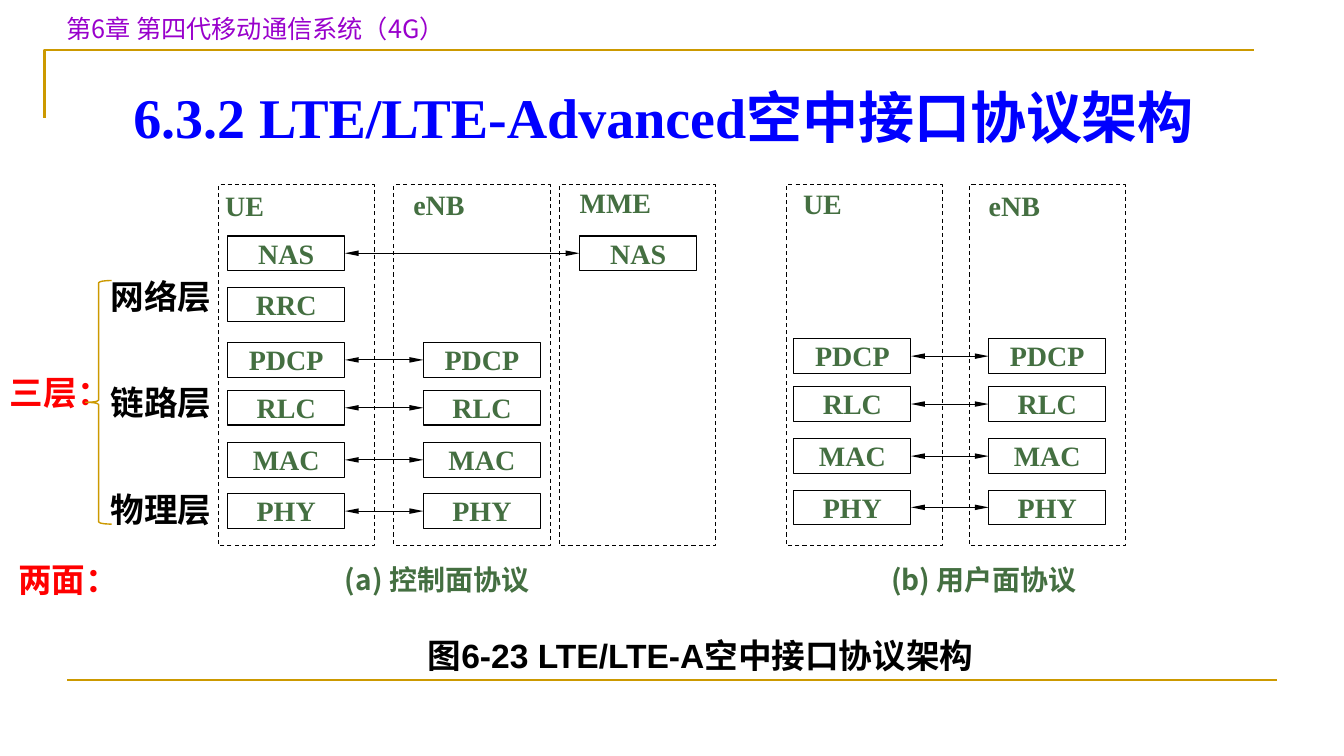
from lxml import etree
from pptx import Presentation
from pptx import util as u
from pptx.dml.color import RGBColor
from pptx.enum import dml, shapes, text
from pptx.oxml.ns import qn

COLUMNS, ROWS = 160, 90
CELL = u.Inches(7.5) / ROWS

BLACK = RGBColor(0x00, 0x00, 0x00)
BLUE = RGBColor(0x00, 0x00, 0xFF)
GOLD = RGBColor(0xCC, 0x99, 0x00)
GREEN = RGBColor(0x44, 0x6F, 0x41)
PURPLE = RGBColor(0x99, 0x00, 0xCC)
RED = RGBColor(0xFF, 0x00, 0x00)

SERIF, SANS = "Times New Roman", "Arial"
CJK, CJK_HEADER = "Noto Sans CJK SC", "Noto Sans CJK JP"
LEFT, CENTER = text.PP_ALIGN.LEFT, text.PP_ALIGN.CENTER
JUSTIFY = text.PP_ALIGN.JUSTIFY
TOP, MIDDLE = text.MSO_ANCHOR.TOP, text.MSO_ANCHOR.MIDDLE

BOX_WIDTH, BOX_HEIGHT = 13.95, 4.1
FRAME_TOP, FRAME_WIDTH, FRAME_HEIGHT = 22, 18.6, 42.9
LAYER_ROWS = {"NAS": 28.1, "RRC": 34.2, "PDCP": 40.8, "RLC": 46.5, "MAC": 52.7, "PHY": 58.8}
RADIO_LAYERS = ["PDCP", "RLC", "MAC", "PHY"]


def grid(*cells):
    return [round(cell * CELL) for cell in cells]


def write(shape, content, size=20, font=SERIF, color=GREEN, bold=True,
          align=CENTER, anchor=TOP, inset=True):
    frame = shape.text_frame
    frame.word_wrap = True
    frame.vertical_anchor = anchor
    if not inset:
        frame.margin_left = frame.margin_right = 0
        frame.margin_top = frame.margin_bottom = 0
    paragraph = frame.paragraphs[0]
    paragraph.alignment = align
    run = paragraph.add_run()
    run.text = content
    run.font.size = u.Pt(size)
    run.font.bold = bold
    run.font.color.rgb = color
    run.font.name = font
    east_asian = font if font.startswith("Noto") else CJK
    etree.SubElement(run._r.get_or_add_rPr(), qn("a:ea"), typeface=east_asian)


def add_text(slide, content, left, top, width, height, **style):
    write(slide.shapes.add_textbox(*grid(left, top, width, height)), content, **style)


def outline(shape, color=BLACK, weight=0.75):
    shape.shadow.inherit = False
    shape.fill.background()
    shape.line.color.rgb = color
    shape.line.width = u.Pt(weight)
    return shape


def add_outline(slide, kind, left, top, width, height, **style):
    return outline(slide.shapes.add_shape(kind, *grid(left, top, width, height)), **style)


def add_line(slide, ends, color=BLACK, weight=0.75):
    line = slide.shapes.add_connector(shapes.MSO_CONNECTOR.STRAIGHT, *grid(*ends))
    line.line.color.rgb = color
    line.line.width = u.Pt(weight)
    etree.SubElement(line._element.spPr, qn("a:effectLst"))
    return line


def add_arrow(slide, left_box, right_box):
    arrow = add_line(slide, (0, 0, 0, 0))
    arrow.begin_connect(left_box, 3)
    arrow.end_connect(right_box, 1)
    for end in ("a:headEnd", "a:tailEnd"):
        etree.SubElement(arrow.line._get_or_add_ln(), qn(end),
                         type="triangle", w="sm", len="lg")


def add_stack(slide, name, frame_left, label_at, box_left, layers, shift=0):
    frame = add_outline(slide, shapes.MSO_SHAPE.RECTANGLE,
                        frame_left, FRAME_TOP, FRAME_WIDTH, FRAME_HEIGHT)
    frame.line.dash_style = dml.MSO_LINE.DASH
    add_text(slide, name, *label_at, BOX_WIDTH, BOX_HEIGHT, align=JUSTIFY, inset=False)
    boxes = {}
    for layer in layers:
        boxes[layer] = add_outline(slide, shapes.MSO_SHAPE.RECTANGLE, box_left,
                                   LAYER_ROWS[layer] + shift, BOX_WIDTH, BOX_HEIGHT)
        write(boxes[layer], layer, inset=False)
    return boxes


def link_layers(slide, left_stack, right_stack):
    for layer in left_stack:
        if layer in right_stack:
            add_arrow(slide, left_stack[layer], right_stack[layer])


def add_page_lines(slide):
    (left, top), (right, bottom) = grid(5.3, 6), grid(149.3, 14)
    builder = slide.shapes.build_freeform(left, bottom)
    builder.add_line_segments([(left, top), (right, top)], close=False)
    outline(builder.convert_to_shape(), color=GOLD, weight=1.5)
    add_line(slide, (8, 81, 152, 81), color=GOLD, weight=1.5)


def main():
    presentation = Presentation()
    presentation.slide_width, presentation.slide_height = grid(COLUMNS, ROWS)
    slide = presentation.slides.add_slide(presentation.slide_layouts[6])

    add_page_lines(slide)
    add_text(slide, "第6章 第四代移动通信系统（4G）", 6.7, 1, 69.4, 4.8,
             size=18, font=CJK_HEADER, color=PURPLE, bold=False, align=LEFT)
    add_text(slide, "6.3.2 LTE/LTE-Advanced空中接口协议架构", 7, 8.6, 144, 10.5,
             size=40, color=BLUE, anchor=MIDDLE)

    control_ue = add_stack(slide, "UE", 26, (26.8, 22.4), 27.1, LAYER_ROWS)
    control_enb = add_stack(slide, "eNB", 46.9, (49.2, 22.3), 50.4, RADIO_LAYERS)
    control_mme = add_stack(slide, "MME", 66.6, (69, 22.1), 69, ["NAS"])
    user_ue = add_stack(slide, "UE", 93.6, (95.6, 22.2), 94.5, RADIO_LAYERS, -0.45)
    user_enb = add_stack(slide, "eNB", 115.4, (117.7, 22.4), 117.7, RADIO_LAYERS, -0.45)
    for left_stack, right_stack in [(control_ue, control_enb), (control_ue, control_mme),
                                    (user_ue, user_enb)]:
        link_layers(slide, left_stack, right_stack)

    add_text(slide, "(a) 控制面协议", 38, 67, 28.1, BOX_HEIGHT, font=CJK, inset=False)
    add_text(slide, "(b) 用户面协议", 104, 67, 26.3, BOX_HEIGHT, font=CJK, inset=False)
    add_text(slide, "图6-23 LTE/LTE-A空中接口协议架构", 46.9, 75, 73, 6,
             size=24, font=SANS, color=BLACK, anchor=MIDDLE)

    for content, left, top in [("三层：", 0, 43.7), ("两面：", 1, 66)]:
        add_text(slide, content, left, top, 53.3, 6,
                 size=24, font=CJK, color=RED, align=LEFT)
    for index, content in enumerate(["网络层", "链路层", "物理层"]):
        add_text(slide, content, 12, 32.2 + 12.7 * index, 53.3, 6,
                 size=24, font=SANS, color=BLACK, align=LEFT)
    add_outline(slide, shapes.MSO_SHAPE.LEFT_BRACE, 10.2, 33.4, 3.1, 29,
                color=GOLD, weight=1)

    presentation.save("out.pptx")


if __name__ == "__main__":
    main()
